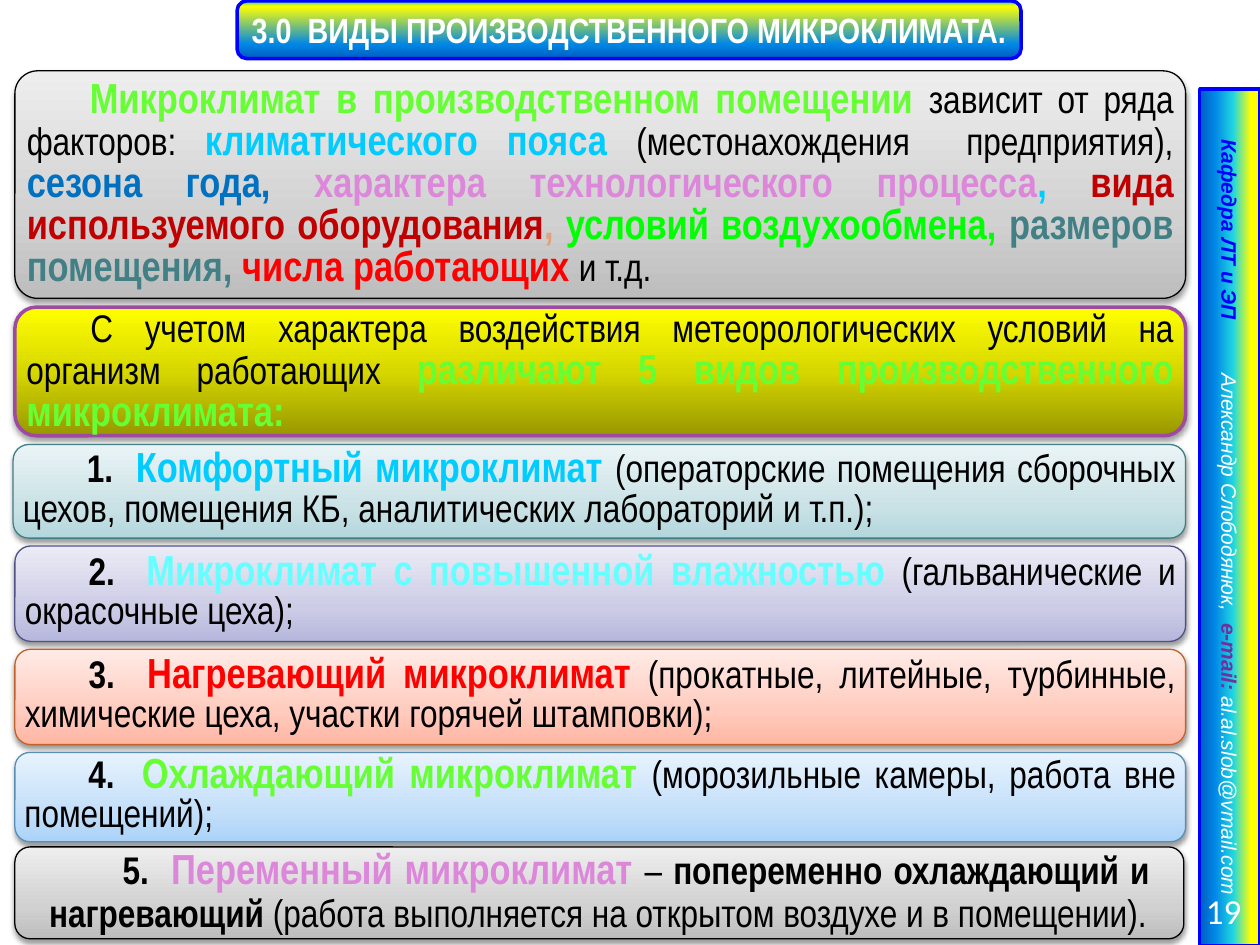
from collections import namedtuple

from pptx import Presentation
from pptx.dml.color import RGBColor
from pptx.enum.shapes import MSO_SHAPE
from pptx.enum.text import MSO_ANCHOR, PP_ALIGN
from pptx.oxml import parse_xml
from pptx.oxml.ns import nsdecls
from pptx.util import Pt

RECTANGLE = MSO_SHAPE.RECTANGLE
ROUNDED = MSO_SHAPE.ROUNDED_RECTANGLE
MIDDLE = MSO_ANCHOR.MIDDLE
CENTER, JUSTIFY, RIGHT = PP_ALIGN.CENTER, PP_ALIGN.JUSTIFY, PP_ALIGN.RIGHT

COLORS = {
    "black": "000000", "white": "FFFFFF", "blue": "0000FF", "navy": "005CBF",
    "azure": "0087E6", "turquoise": "21D6E0", "mint": "03D4A8", "yellow": "FFFF00",
    "lime": "66FF33", "sky": "00CCFF", "season": "0070C0", "orchid": "DD87DB",
    "maroon": "C00000", "sand": "E1A17C", "green": "00FF00", "teal": "438086",
    "red": "FF0000", "aqua": "66FFFF", "purple": "7030A0", "plum": "9E49A2",
    "teal_line": "407F85", "violet_line": "505188", "orange_line": "C36228",
    "steel_line": "588FB3",
}
GRADIENTS = {
    "title": [(0, COLORS["mint"]), (9, COLORS["yellow"]),
              (75, COLORS["azure"]), (100, COLORS["navy"])],
    "sidebar": [(15, COLORS["yellow"]), (44, COLORS["turquoise"]),
                (75, COLORS["azure"]), (100, COLORS["navy"])],
    "gray": [(0, "BDBDBD"), (35, "D1D1D1"), (100, "EEEEEE")],
    "olive": [(0, "979700"), (50, "D7D700"), (100, "FFFF00")],
    "teal": [(0, "B3D7DC"), (35, "CAE2E6"), (100, "EAF4F6")],
    "violet": [(0, "B6B7DC"), (35, "CCCCE6"), (100, "EBEBF6")],
    "orange": [(0, "FFB6A3"), (35, "FFCBBE"), (100, "FFEBE6")],
    "steel": [(0, "ABD3F8"), (35, "C4DFF9"), (100, "E7F3FE")],
}
NARROW = "Arial Narrow"
Piece = namedtuple("Piece", "text size color bold font italic outlined spacing",
                   defaults=(False, NARROW, False, False, 0))


def plain(text, bold=False):
    return Piece(text, 22, "black", bold)


def accent(text, color):
    return Piece(text, 24, color, True, outlined=True)


def side(text, color, bold=False, spacing=0):
    return Piece(text, 12, color, bold, "Arial", True, spacing=spacing)


def set_gradient(shape, name, angle):
    stops = "".join(
        f'<a:gs pos="{position * 1000}"><a:srgbClr val="{color}"/></a:gs>'
        for position, color in GRADIENTS[name])
    shape.fill.background()
    properties = shape._element.spPr
    old_fill = properties.find("{*}noFill")
    properties.replace(old_fill, parse_xml(
        f'<a:gradFill {nsdecls("a")} rotWithShape="1"><a:gsLst>{stops}</a:gsLst>'
        f'<a:lin ang="{angle * 60000}" scaled="0"/></a:gradFill>'))


def set_shadow(shape):
    properties = shape._element.spPr
    properties.find("{*}effectLst").append(parse_xml(
        f'<a:outerShdw {nsdecls("a")} blurRad="{Pt(3.1)}" dist="{Pt(1.6)}" '
        f'dir="5400000" rotWithShape="0"><a:srgbClr val="{COLORS["black"]}">'
        '<a:alpha val="38000"/></a:srgbClr></a:outerShdw>'))


def add_run(paragraph, piece):
    run = paragraph.add_run()
    run.text = piece.text
    font = run.font
    font.name = piece.font
    font.size = Pt(piece.size)
    font.bold = piece.bold
    font.italic = piece.italic
    font.color.rgb = RGBColor.from_string(COLORS[piece.color])
    properties = run._r.get_or_add_rPr()
    if piece.outlined:
        properties.insert(0, parse_xml(
            f'<a:ln {nsdecls("a")} w="{Pt(1)}"><a:solidFill>'
            f'<a:srgbClr val="{COLORS["black"]}"/></a:solidFill></a:ln>'))
    if piece.spacing:
        properties.set("spc", str(piece.spacing * 100))


def fill_text(shape, pieces, alignment, inset=None):
    frame = shape.text_frame
    frame.word_wrap = True
    frame.vertical_anchor = MIDDLE
    if inset is not None:
        frame.margin_left = frame.margin_right = Pt(inset)
        frame.margin_top = frame.margin_bottom = Pt(3)
    paragraph = frame.paragraphs[0]
    paragraph.alignment = alignment
    for piece in pieces:
        add_run(paragraph, piece)
    return paragraph


def add_panel(slide, kind, bounds, gradient, angle, line, line_width):
    shape = slide.shapes.add_shape(kind, *map(Pt, bounds))
    shape.shadow.inherit = False
    set_gradient(shape, gradient, angle)
    shape.line.color.rgb = RGBColor.from_string(COLORS[line])
    shape.line.width = Pt(line_width)
    return shape


def add_card(slide, bounds, gradient, line, pieces, spacing,
             line_width=0.75, inset=3, indent=36.5):
    shape = add_panel(slide, ROUNDED, bounds, gradient, 270, line, line_width)
    set_shadow(shape)
    paragraph = fill_text(shape, pieces, JUSTIFY, inset)
    paragraph.line_spacing = Pt(spacing)
    paragraph._p.get_or_add_pPr().set("indent", str(Pt(indent)))
    return shape


def add_title(slide):
    shape = add_panel(slide, ROUNDED, (135.5, 0.5, 448, 33), "title", 90, "blue", 2)
    fill_text(shape, [Piece("3.0  ВИДЫ ПРОИЗВОДСТВЕННОГО МИКРОКЛИМАТА.",
                            20, "white", True)], CENTER, 3)


def add_sidebar(slide):
    shape = add_panel(slide, RECTANGLE, (458, 278.5, 489.5, 34.5),
                      "sidebar", 90, "blue", 2)
    shape.rotation = 90
    fill_text(shape, [
        side("Кафедра ЛТ и ЭП", "blue", True),
        side(" ", "blue", True, spacing=27),
        side("Александр Слободянюк,  ", "white"),
        side("e-mail: ", "purple", True),
        side("al.al.slob@vmail.com", "white"),
    ], CENTER)


def add_page_number(slide):
    box = slide.shapes.add_textbox(*map(Pt, (638, 506, 78.5, 29)))
    fill_text(box, [Piece("19", 20, "white", font="Calibri")], RIGHT)


def main():
    presentation = Presentation()
    presentation.slide_width = Pt(720)
    presentation.slide_height = Pt(540)
    slide = presentation.slides.add_slide(presentation.slide_layouts[6])

    add_title(slide)
    factors = add_card(slide, (8.5, 40.5, 669, 130), "gray", "black", [
        accent("Микроклимат в производственном помещении ", "lime"),
        plain("зависит от ряда факторов: "),
        accent("климатического пояса ", "sky"),
        plain("(местонахождения  предприятия), "),
        accent("сезона года, ", "season"),
        accent("характера технологического процесса", "orchid"),
        accent(", ", "sky"),
        accent("вида используемого оборудования", "maroon"),
        accent(", ", "sand"),
        accent("условий воздухообмена, ", "green"),
        accent("размеров помещения, ", "teal"),
        accent("числа работающих ", "red"),
        plain("и т.д."),
    ], 24, indent=36)
    factors.adjustments[0] = 0.1
    add_card(slide, (8.5, 175.5, 669, 73.5), "olive", "plum", [
        plain("С учетом характера воздействия метеорологических условий "
              "на организм работающих "),
        accent("различают 5 видов производственного микроклимата:", "lime"),
    ], 24, line_width=2)

    climates = [
        ((7.5, 254, 670, 53.5), "teal", "Комфортный микроклимат ", "sky",
         "(операторские помещения сборочных цехов, помещения КБ, "
         "аналитических лабораторий и т.п.);"),
        ((8.5, 312, 669, 54.5), "violet", "Микроклимат с повышенной влажностью ",
         "aqua", "(гальванические и окрасочные цеха);"),
        ((8.5, 371, 669, 54.5), "orange", "Нагревающий микроклимат ", "red",
         "(прокатные, литейные, турбинные, химические цеха, "
         "участки горячей штамповки);"),
        ((8.5, 430, 669, 51), "steel", "Охлаждающий микроклимат ", "lime",
         "(морозильные камеры, работа вне помещений);"),
    ]
    for number, (bounds, theme, name, color, places) in enumerate(climates, 1):
        add_card(slide, bounds, theme, f"{theme}_line", [
            plain(f"{number}.  ", True), accent(name, color), plain(places)], 22)
    add_card(slide, (8.5, 484, 668, 52.5), "gray", "black", [
        plain("5.  ", True),
        accent("Переменный микроклимат ", "orchid"),
        plain("– "),
        plain("попеременно охлаждающий и нагревающий ", True),
        plain("(работа выполняется на открытом воздухе и в помещении)."),
    ], 24, inset=17, indent=42)

    add_sidebar(slide)
    add_page_number(slide)
    presentation.save("out.pptx")


if __name__ == "__main__":
    main()
